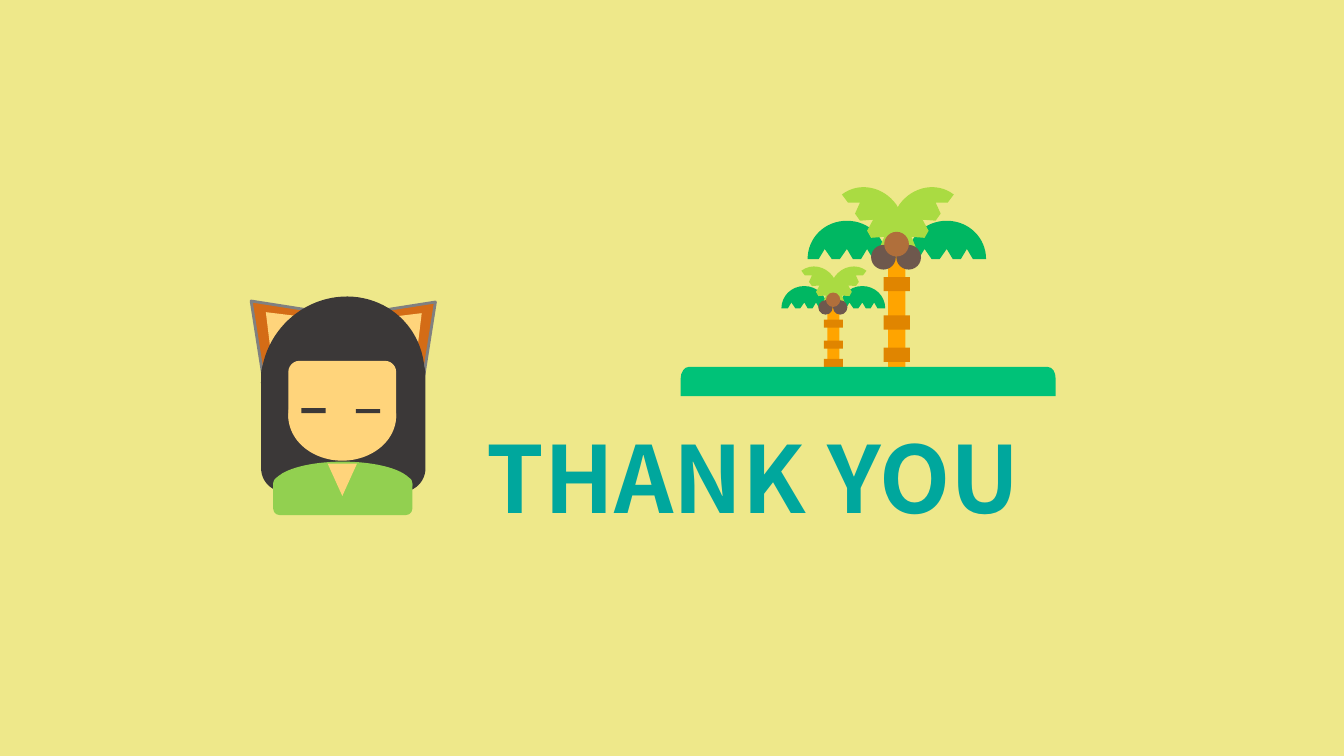
import pptx
import pptx.dml.color
import pptx.enum.shapes
import pptx.enum.text
import pptx.oxml
import pptx.oxml.ns
import pptx.util
from dataclasses import dataclass

PX = 9144  # EMU per px, 100 px to the inch
KIND = pptx.enum.shapes.MSO_SHAPE


@dataclass(frozen=True)
class Theme:
    background: str = "EEE88A"
    title: str = "00A79D"
    trunk: str = "FFA400"
    ring: str = "E08500"
    dark_leaf: str = "00B762"
    light_leaf: str = "AADB42"
    dark_coconut: str = "6E584D"
    light_coconut: str = "B06F3B"
    ground: str = "00C278"
    hair: str = "3B3838"
    skin: str = "FFD47B"
    ear: str = "D46C16"
    ear_edge: str = "808080"
    shirt: str = "92D050"
    font: str = "Noto Sans CJK SC"
    title_size: int = 66
    edge_width: int = 2


THEME = Theme()

# Outlines: a pair is a corner, six numbers are a Bezier curve
DARK_LEAF = [(39, 0), (61, 0, 78, 17, 78, 38), (65, 38), (59, 28), (53, 38),
             (45, 38), (39, 28), (32, 38), (24, 38), (17, 28), (11, 38),
             (0, 38), (0, 17, 17, 0, 39, 0)]
LIGHT_LEAF = [(88, 23), (99, 40, 95, 64, 78, 76), (71, 67), (76, 55), (63, 56),
              (59, 49), (65, 38), (52, 39), (47, 32), (52, 21), (40, 21),
              (34, 13), (51, 0, 75, 5, 88, 23)]
GROUND = [(364, 0), (8, 0), (4, 0, 0, 5, 0, 12), (0, 29), (372, 29),
          (372, 12), (372, 5, 369, 0, 364, 0)]


def rgb(color):
    return pptx.dml.color.RGBColor.from_string(color)


def paint(shape, color):
    shape.shadow.inherit = False
    shape.fill.solid()
    shape.fill.fore_color.rgb = rgb(color)
    shape.line.fill.background()
    return shape


def add_part(group, kind, left, top, width, height, color, rotation=0):
    emu = [round(length * PX) for length in (left, top, width, height)]
    part = paint(group.shapes.add_shape(kind, *emu), color)
    part.rotation = rotation
    return part


def add_outline(group, outline, color, left, top, sx=1, sy=1):
    """Draw all points as corners, then join each curve's three into one Bezier."""
    points = [(round((left + x * sx) * PX), round((top + y * sy) * PX))
              for segment in outline for x, y in zip(segment[::2], segment[1::2])]
    builder = group.shapes.build_freeform(*points[0], scale=1.0)
    builder.add_line_segments(points[1:], close=True)
    shape = paint(builder.convert_to_shape(), color)
    corners = iter(list(shape.element.iter(pptx.oxml.ns.qn("a:lnTo"))))
    for segment in outline[1:]:
        corner = next(corners)
        if len(segment) == 6:
            curve = pptx.oxml.parse_xml(
                f'<a:cubicBezTo {pptx.oxml.ns.nsdecls("a")}/>')
            corner.addprevious(curve)
            for control in (corner, next(corners), next(corners)):
                curve.append(control[0])
                control.getparent().remove(control)


def draw_palm(group, box, trunk_width, ring_size, ring_tops):
    left, top, width, height = box
    sx, sy = width / 177, height / 195  # leaves and coconuts are drawn on 177 x 195
    middle = left + width / 2

    # Trunk with rings
    add_part(group, KIND.RECTANGLE, middle - trunk_width / 2, top + 69 * sy,
             trunk_width, 126 * sy, THEME.trunk)
    ring_width, ring_height = ring_size
    for ring_top in ring_tops:
        add_part(group, KIND.RECTANGLE, middle - ring_width / 2, top + ring_top,
                 ring_width, ring_height, THEME.ring)

    # Drooping leaves, then the mirrored upright pair
    for offset in (99, 0):
        add_outline(group, DARK_LEAF, THEME.dark_leaf,
                    left + offset * sx, top + 39 * sy, sx, sy)
    add_outline(group, LIGHT_LEAF, THEME.light_leaf, left, top, sx, sy)
    add_outline(group, LIGHT_LEAF, THEME.light_leaf, left + 179 * sx, top, -sx, sy)

    # Coconuts
    for x, y, color in ((88, 63, THEME.dark_coconut), (63, 63, THEME.dark_coconut),
                        (76, 50, THEME.light_coconut)):
        add_part(group, KIND.OVAL, left + x * sx, top + y * sy,
                 24.5 * sx, 24.5 * sy, color)


def draw_island(slide, box):
    left, top, _, _ = box
    island = slide.shapes.add_group_shape()
    draw_palm(island, (left + 126, top, 177, 195), 17, (26, 14), (95, 133, 165))
    draw_palm(island, (left + 100, top + 81, 103, 114), 12, (19, 8), (56, 77, 95))
    add_outline(island, GROUND, THEME.ground, left, top + 184)


def draw_girl(slide, box):
    left, top, _, _ = box
    girl = slide.shapes.add_group_shape()

    # Ears
    for outer, inner, rotation in (((141, 1), (147, 15), 45), ((0, 0), (20, 14), 315)):
        ear = add_part(girl, KIND.ISOSCELES_TRIANGLE, left + outer[0], top + outer[1],
                       86, 59, THEME.ear, rotation)
        ear.line.color.rgb = rgb(THEME.ear_edge)
        ear.line.width = pptx.util.Pt(THEME.edge_width)
        add_part(girl, KIND.ISOSCELES_TRIANGLE, left + inner[0], top + inner[1],
                 61, 39, THEME.skin, rotation)

    # Hair, face, eyes and shirt, from back to front
    for kind, x, y, width, height, color, rotation in (
            (KIND.PIE, 30, 6, 166, 158, THEME.hair, 136.9),
            (KIND.ROUNDED_RECTANGLE, 32, 58, 163, 140, THEME.hair, 0),
            (KIND.FLOWCHART_ALTERNATE_PROCESS, 59, 68, 107, 67, THEME.skin, 0),
            (KIND.OVAL, 59, 78, 107, 89, THEME.skin, 0),
            (KIND.RECTANGLE, 72, 115, 24, 5, THEME.hair, 0),
            (KIND.OVAL, 44, 168, 138, 46, THEME.shirt, 0),
            (KIND.FLOWCHART_ALTERNATE_PROCESS, 44, 183, 138, 38, THEME.shirt, 0),
            (KIND.ISOSCELES_TRIANGLE, 98, 170, 29, 32, THEME.skin, 180),
            (KIND.RECTANGLE, 126, 116, 24, 4, THEME.hair, 0)):
        add_part(girl, kind, left + x, top + y, width, height, color, rotation)


def write_title(slide, box):
    title = slide.shapes.add_textbox(*(length * PX for length in box))
    frame = title.text_frame
    frame.word_wrap = False
    frame.auto_size = pptx.enum.text.MSO_AUTO_SIZE.SHAPE_TO_FIT_TEXT
    thanks = frame.paragraphs[0]
    thanks.text = "THANK YOU"
    thanks.font.name = THEME.font
    thanks.font.size = pptx.util.Pt(THEME.title_size)
    thanks.font.bold = True
    thanks.font.color.rgb = rgb(THEME.title)


def build_closing_slide(deck):
    slide = deck.slides.add_slide(deck.slide_layouts[6])
    slide.background.fill.solid()
    slide.background.fill.fore_color.rgb = rgb(THEME.background)
    write_title(slide, (473, 413, 599, 121))
    draw_island(slide, (675, 180, 372, 213))
    draw_girl(slide, (227, 290, 227, 221))


def main():
    deck = pptx.Presentation()
    deck.slide_width, deck.slide_height = 1333 * PX, 750 * PX
    build_closing_slide(deck)
    deck.save("out.pptx")


if __name__ == "__main__":
    main()
